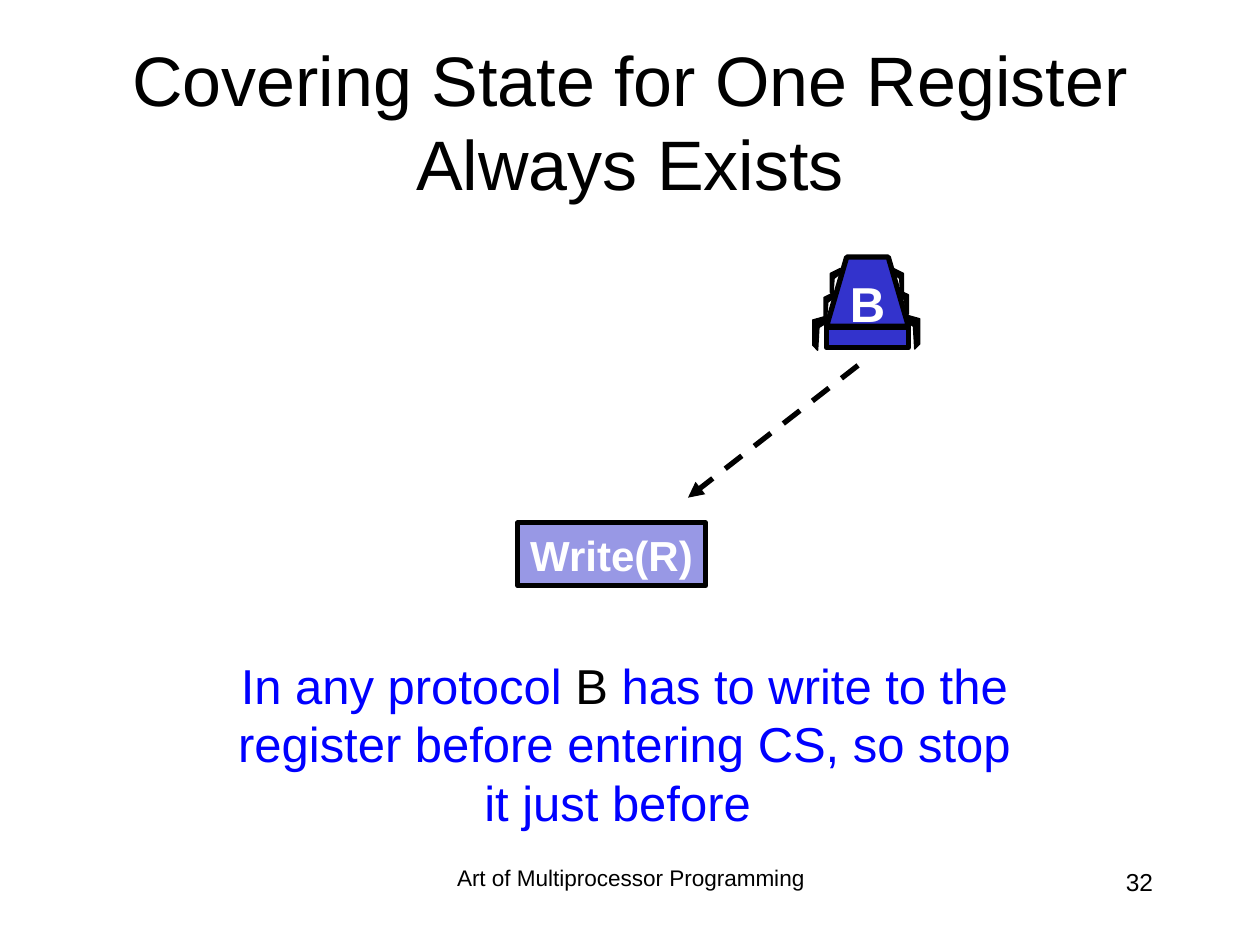
from dataclasses import dataclass

from lxml.etree import SubElement
from pptx import Presentation
from pptx.dml.color import RGBColor
from pptx.enum.dml import MSO_LINE
from pptx.enum.shapes import MSO_CONNECTOR, MSO_SHAPE
from pptx.enum.text import MSO_ANCHOR, PP_ALIGN
from pptx.oxml.ns import qn
from pptx.util import Inches, Pt


@dataclass(frozen=True)
class Theme:
    """Colours, font and sizes of the slide."""
    font: str = "Arial"
    black: RGBColor = RGBColor(0, 0, 0)
    white: RGBColor = RGBColor(255, 255, 255)
    indigo: RGBColor = RGBColor(0x33, 0x33, 0xCC)
    blue: RGBColor = RGBColor(0, 0, 255)
    title: float = 40
    body: float = 28
    label: float = 24
    number: float = 14
    footer: float = 12.9
    heavy: float = 3
    thin: float = 0.75


THEME = Theme()
LARGE_LEG = [(0, 0), (0.14, 0.04), (0.14, 0.24), (0.1, 0.28), (0.09, 0.1), (0.01, 0.05)]
SMALL_LEG = [(0, 0), (0.08, 0.04), (0.08, 0.19), (0.06, 0.22), (0.05, 0.08), (0, 0.04)]


def write_text(frame, runs, size, align, bold=False, wrap=True):
    """Fill a text frame with one paragraph of (text, colour) runs."""
    frame.word_wrap = wrap
    frame.margin_left = frame.margin_right = Inches(0.1)
    frame.margin_top = frame.margin_bottom = Inches(0.05)
    paragraph = frame.paragraphs[0]
    paragraph.alignment = align
    for text, color in runs:
        run = paragraph.add_run()
        run.text = text
        run.font.name = THEME.font
        run.font.size = Pt(size)
        run.font.bold = bold
        run.font.color.rgb = color
    return paragraph


def add_text(slide, box, runs, size, align=PP_ALIGN.CENTER, **options):
    """Add a text box in box and return its frame."""
    frame = slide.shapes.add_textbox(*map(Inches, box)).text_frame
    write_text(frame, runs, size, align, **options)
    return frame


def paint(shape, fill, width):
    """Give a shape a flat fill and a black outline."""
    shape.shadow.inherit = False
    shape.fill.solid()
    shape.fill.fore_color.rgb = fill
    shape.line.color.rgb = THEME.black
    shape.line.width = Pt(width)


def add_outline(slide, points, fill, width):
    """Draw a closed polygon through points in inches."""
    start, *rest = [(Inches(x), Inches(y)) for x, y in points]
    builder = slide.shapes.build_freeform(*start)
    builder.add_line_segments(rest, close=True)
    paint(builder.convert_to_shape(), fill, width)


def add_leg(slide, leg, x, y, side):
    """Draw a leg from its joint, towards side 1 (right) or -1 (left)."""
    points = [(x + side * dx, y + dy) for dx, dy in leg]
    add_outline(slide, points, THEME.black, THEME.thin)


def add_process(slide, box, name):
    """Draw a six-legged process with its name on the body."""
    left, top, width, height = box
    right, center = left + width, left + width / 2
    add_leg(slide, LARGE_LEG, right - 0.05, top + 0.45, 1)
    add_leg(slide, SMALL_LEG, right - 0.08, top + 0.26, 1)
    add_leg(slide, LARGE_LEG, left + 0.03, top + 0.46, -1)
    add_leg(slide, SMALL_LEG, left + 0.06, top + 0.28, -1)
    waist = top + 0.55
    body = [(left, waist), (left + 0.16, top), (right - 0.16, top), (right, waist)]
    add_outline(slide, body, THEME.indigo, THEME.heavy)
    base = slide.shapes.add_shape(
        MSO_SHAPE.RECTANGLE, Inches(left), Inches(top + height - 0.16),
        Inches(width), Inches(0.16))
    paint(base, THEME.indigo, THEME.heavy)
    add_leg(slide, SMALL_LEG, right - 0.12, top + 0.09, 1)
    add_leg(slide, SMALL_LEG, left + 0.11, top + 0.09, -1)
    add_text(slide, (center - 0.24, top + 0.08, 0.48, 0.57),
             [(name, THEME.white)], THEME.body, bold=True, wrap=False)


def add_operation(slide, box, label):
    """Draw the pending operation as a half-transparent box."""
    operation = slide.shapes.add_shape(MSO_SHAPE.RECTANGLE, *map(Inches, box))
    paint(operation, THEME.indigo, THEME.heavy)
    color = operation.fill._xPr.find(qn("a:solidFill"))[0]
    SubElement(color, qn("a:alpha"), val="50000")
    operation.text_frame.vertical_anchor = MSO_ANCHOR.TOP
    write_text(operation.text_frame, [(label, THEME.white)], THEME.label,
               PP_ALIGN.LEFT, bold=True, wrap=False)


def add_pending_arrow(slide, start, end):
    """Draw a dashed arrow from start to end."""
    arrow = slide.shapes.add_connector(
        MSO_CONNECTOR.STRAIGHT, *map(Inches, (*start, *end)))
    arrow.line.color.rgb = THEME.black
    arrow.line.width = Pt(THEME.heavy)
    arrow.line.dash_style = MSO_LINE.DASH
    SubElement(arrow.line._get_or_add_ln(), qn("a:tailEnd"), type="triangle")
    SubElement(arrow._element.spPr, qn("a:effectLst"))


def add_title(slide, box, title):
    """Add the centred slide title."""
    frame = add_text(slide, box, [(title, THEME.black)], THEME.title)
    frame.vertical_anchor = MSO_ANCHOR.MIDDLE


def add_explanation(slide, box):
    """Add the explanation below the diagram."""
    add_text(slide, box, [
        ("In any protocol ", THEME.blue),
        ("B", THEME.black),
        (" has to write to the register before entering CS, so stop it just before ",
         THEME.blue),
    ], THEME.body)


def add_footer(slide, box, source, number):
    """Add the centred source line and the page number at the right."""
    left, top, width, height = box
    frame = add_text(slide, (left, top, 3.17, height),
                     [(source, THEME.black)], THEME.footer)
    frame.paragraphs[0].line_spacing = 0.9
    add_text(slide, (left + width - 2.08, top, 2.08, height),
             [(number, THEME.black)], THEME.number, PP_ALIGN.RIGHT)


def main():
    """Build and save the slide."""
    deck = Presentation()
    deck.slide_width, deck.slide_height = Inches(10), Inches(7.5)
    slide = deck.slides.add_slide(deck.slide_layouts[6])
    add_footer(slide, (3.42, 6.83, 5.83, 0.5), "Art of Multiprocessor Programming", "32")
    add_title(slide, (0.75, 0.33, 8.5, 1.25),
              "Covering State for One Register Always Exists")
    add_operation(slide, (4.11, 4.15, 1.49, 0.5), "Write(R)")
    add_process(slide, (6.56, 2.04, 0.65, 0.72), "B")
    add_pending_arrow(slide, (6.81, 2.9), (5.46, 3.95))
    add_explanation(slide, (1.66, 5.15, 6.59, 1.5))
    deck.save("out.pptx")


if __name__ == "__main__":
    main()
